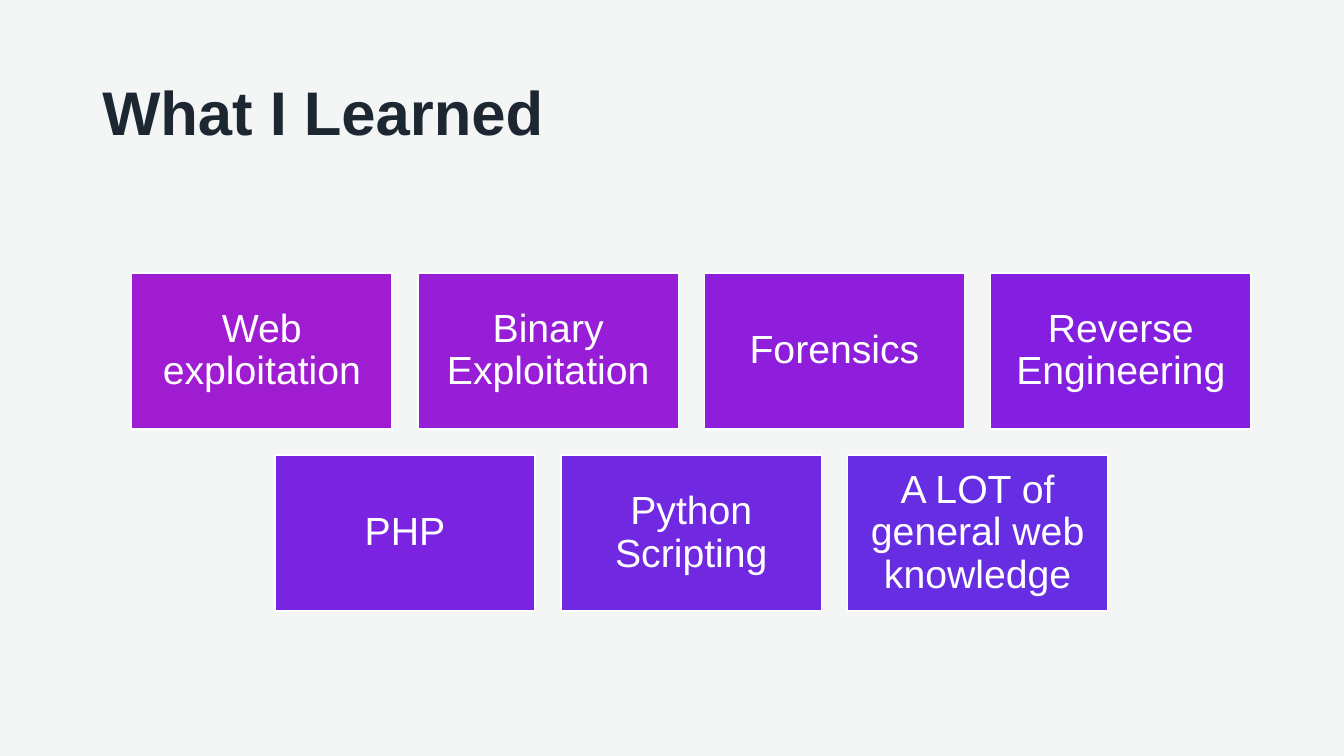
from pptx import Presentation
from pptx.dml.color import RGBColor
from pptx.enum.shapes import MSO_SHAPE
from pptx.enum.text import MSO_ANCHOR, PP_ALIGN
from pptx.util import Pt

TITLE = "What I Learned"
ROWS = [
    [("Web exploitation", RGBColor(0xA0, 0x1C, 0xD1)),
     ("Binary Exploitation", RGBColor(0x97, 0x1D, 0xD6)),
     ("Forensics", RGBColor(0x8E, 0x1E, 0xDB)),
     ("Reverse Engineering", RGBColor(0x84, 0x1E, 0xE0))],
    [("PHP", RGBColor(0x7A, 0x23, 0xE1)),
     ("Python Scripting", RGBColor(0x70, 0x28, 0xE1)),
     ("A LOT of general web knowledge", RGBColor(0x67, 0x2D, 0xE2))],
]

FONT = "Arial"
WHITE = RGBColor(0xFF, 0xFF, 0xFF)
INK = RGBColor(0x1C, 0x27, 0x32)
PAPER = RGBColor(0xF4, 0xF6, 0xF5)

MID, TOP = 493.8, 195  # centre of every row, top of the first
WIDE, HIGH, GAP = 185.9, 111.5, 18.6
INSET = 8.4


def style(para, size, color, bold=False):
    """Set the font of every run in a paragraph."""
    for run in para.runs:
        run.font.name = FONT
        run.font.size = Pt(size)
        run.font.bold = bold
        run.font.color.rgb = color


def add_title(slide):
    """Add the heading."""
    frame = slide.shapes.add_textbox(Pt(66), Pt(44), Pt(815), Pt(101)).text_frame
    frame.word_wrap = True
    frame.margin_top = Pt(9)
    frame.text = TITLE
    style(frame.paragraphs[0], 44, INK, True)


def add_card(slide, left, top, label, color):
    """Add one filled card with its centred label."""
    card = slide.shapes.add_shape(
        MSO_SHAPE.RECTANGLE, Pt(left), Pt(top), Pt(WIDE), Pt(HIGH))
    card.shadow.inherit = False
    card.fill.solid()
    card.fill.fore_color.rgb = color
    card.line.color.rgb = WHITE
    card.line.width = Pt(1)
    frame = card.text_frame
    frame.word_wrap = True
    frame.vertical_anchor = MSO_ANCHOR.MIDDLE
    frame.margin_left = frame.margin_right = Pt(INSET)
    frame.margin_top = frame.margin_bottom = Pt(INSET)
    frame.text = label
    para = frame.paragraphs[0]
    para.alignment = PP_ALIGN.CENTER
    para.line_spacing = 0.9
    style(para, 28, WHITE)


def add_rows(slide):
    """Lay out the cards, each row centred on the same line."""
    for i, row in enumerate(ROWS):
        start = MID - (len(row) * (WIDE + GAP) - GAP) / 2
        for j, (label, color) in enumerate(row):
            add_card(slide, start + j * (WIDE + GAP), TOP + i * (HIGH + GAP),
                     label, color)


deck = Presentation()
deck.slide_width, deck.slide_height = Pt(960), Pt(540)
slide = deck.slides.add_slide(deck.slide_layouts[6])
slide.background.fill.solid()
slide.background.fill.fore_color.rgb = PAPER
add_title(slide)
add_rows(slide)
deck.save("out.pptx")
